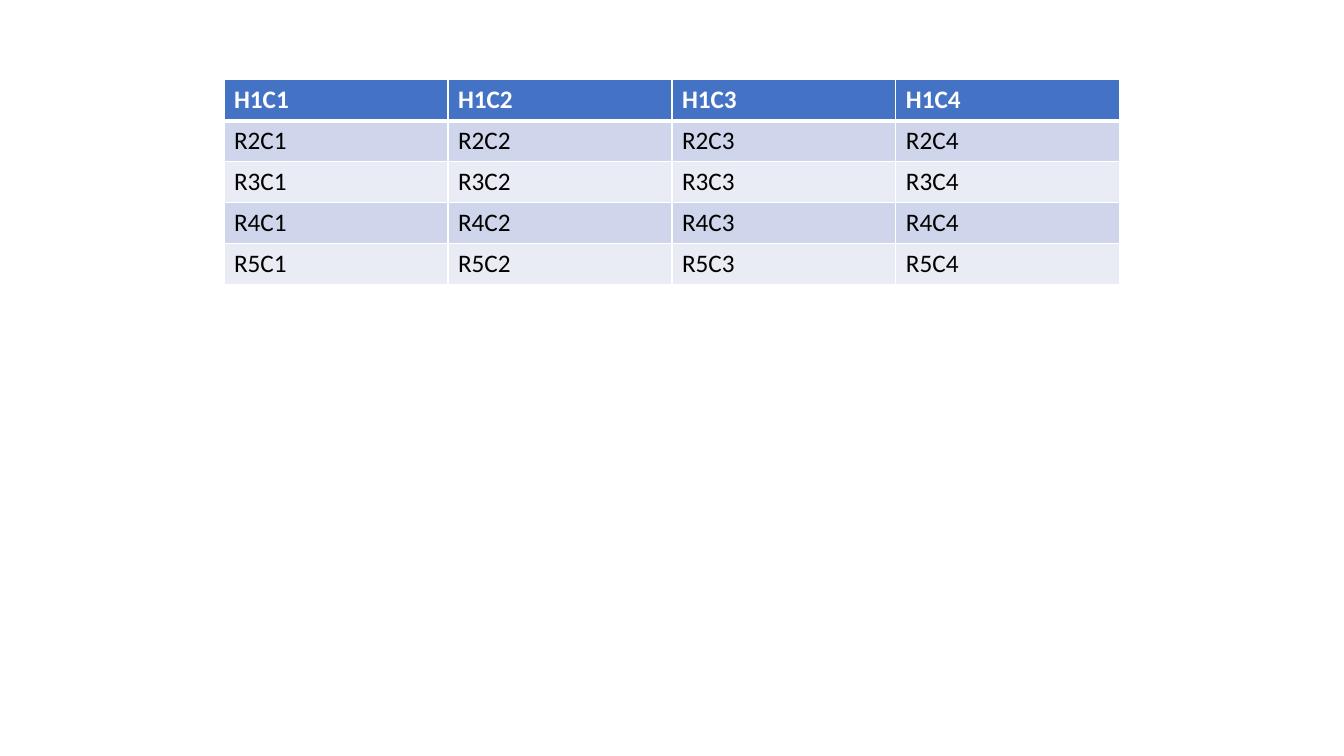
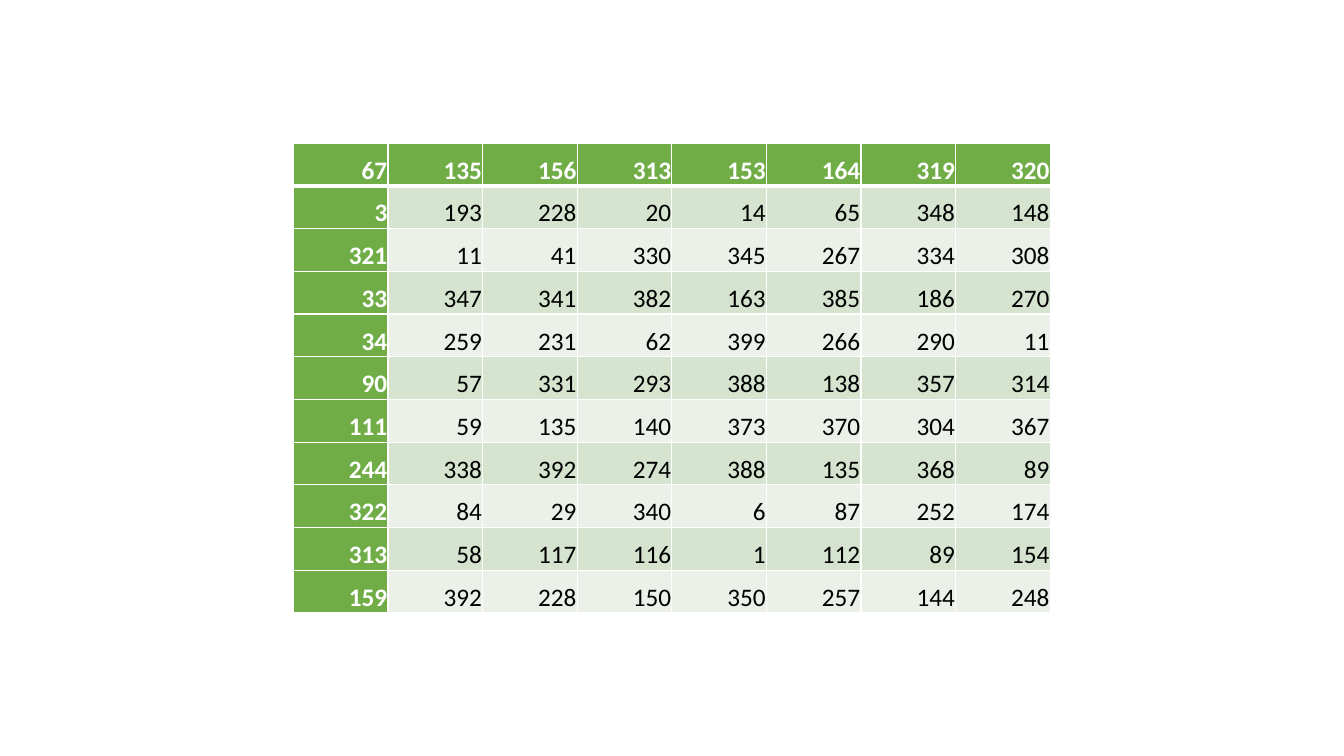
from lxml.etree import SubElement
from pptx import Presentation
from pptx.dml.color import RGBColor
from pptx.enum.text import MSO_ANCHOR, PP_ALIGN
from pptx.oxml.ns import qn
from pptx.util import Cm, Pt

WHITE = RGBColor(0xFF, 0xFF, 0xFF)
BLACK = RGBColor(0x00, 0x00, 0x00)
BLUE = RGBColor(0x44, 0x72, 0xC4)
BLUE_BANDS = RGBColor(0xCF, 0xD5, 0xEA), RGBColor(0xE9, 0xEB, 0xF5)
GREEN = RGBColor(0x70, 0xAD, 0x47)
GREEN_BANDS = RGBColor(0xD5, 0xE3, 0xCF), RGBColor(0xEB, 0xF1, 0xE9)

FONT = "Calibri"
TEXT_SIZE = Pt(18)
THIN, THICK = Pt(1), Pt(3)
SLIDE_WIDTH, SLIDE_HEIGHT = Cm(33.87), Cm(19.05)

LABELS = [
    ["H1C1", "H1C2", "H1C3", "H1C4"],
    ["R2C1", "R2C2", "R2C3", "R2C4"],
    ["R3C1", "R3C2", "R3C3", "R3C4"],
    ["R4C1", "R4C2", "R4C3", "R4C4"],
    ["R5C1", "R5C2", "R5C3", "R5C4"],
]
NUMBERS = [
    [67, 135, 156, 313, 153, 164, 319, 320],
    [3, 193, 228, 20, 14, 65, 348, 148],
    [321, 11, 41, 330, 345, 267, 334, 308],
    [33, 347, 341, 382, 163, 385, 186, 270],
    [34, 259, 231, 62, 399, 266, 290, 11],
    [90, 57, 331, 293, 388, 138, 357, 314],
    [111, 59, 135, 140, 373, 370, 304, 367],
    [244, 338, 392, 274, 388, 135, 368, 89],
    [322, 84, 29, 340, 6, 87, 252, 174],
    [313, 58, 117, 116, 1, 112, 89, 154],
    [159, 392, 228, 150, 350, 257, 144, 248],
]

TABLES = [
    {
        "rows": LABELS, "top": Cm(2.01), "width": Cm(22.58), "height": Cm(5.16),
        "accent": BLUE, "bands": BLUE_BANDS, "first_col": False,
        "align": PP_ALIGN.LEFT, "cell_format": {},
    },
    {
        "rows": NUMBERS, "top": Cm(3.61), "width": Cm(19.08), "height": Cm(11.84),
        "accent": GREEN, "bands": GREEN_BANDS, "first_col": True,
        "align": PP_ALIGN.RIGHT,
        "cell_format": {
            "vertical_anchor": MSO_ANCHOR.BOTTOM,
            "margin_left": Cm(0.02), "margin_right": Cm(0.02),
            "margin_top": Cm(0.02), "margin_bottom": Cm(0),
        },
    },
]


def set_attributes(target, values):
    for name, value in values.items():
        setattr(target, name, value)


def draw_borders(cell, row):
    widths = {
        "a:lnL": THIN,
        "a:lnR": THIN,
        "a:lnT": THICK if row == 1 else THIN,
        "a:lnB": THICK if row == 0 else THIN,
    }
    properties = cell._tc.get_or_add_tcPr()
    for side, width in widths.items():
        border = SubElement(properties, qn(side), w=str(width))
        fill = SubElement(border, qn("a:solidFill"))
        SubElement(fill, qn("a:srgbClr"), val=str(WHITE))


def fill_cell(cell, value, row, is_header, content):
    draw_borders(cell, row)
    cell.fill.solid()
    cell.fill.fore_color.rgb = (
        content["accent"] if is_header else content["bands"][(row - 1) % 2]
    )
    set_attributes(cell, content["cell_format"])
    cell.text = str(value)
    paragraph = cell.text_frame.paragraphs[0]
    paragraph.alignment = content["align"]
    font = paragraph.runs[0].font
    set_attributes(font, {"name": FONT, "size": TEXT_SIZE, "bold": is_header})
    font.color.rgb = WHITE if is_header else BLACK


def add_grid(slide, content):
    rows, width, height = content["rows"], content["width"], content["height"]
    left = (SLIDE_WIDTH - width) // 2
    grid = slide.shapes.add_table(
        len(rows), len(rows[0]), left, content["top"], width, height
    ).table
    grid.first_col = content["first_col"]
    for row, values in enumerate(rows):
        for column, value in enumerate(values):
            is_header = row == 0 or (content["first_col"] and column == 0)
            fill_cell(grid.cell(row, column), value, row, is_header, content)


def main():
    presentation = Presentation()
    presentation.slide_width = SLIDE_WIDTH
    presentation.slide_height = SLIDE_HEIGHT
    blank_layout = presentation.slide_layouts[6]
    for content in TABLES:
        add_grid(presentation.slides.add_slide(blank_layout), content)
    presentation.save("out.pptx")


if __name__ == "__main__":
    main()
